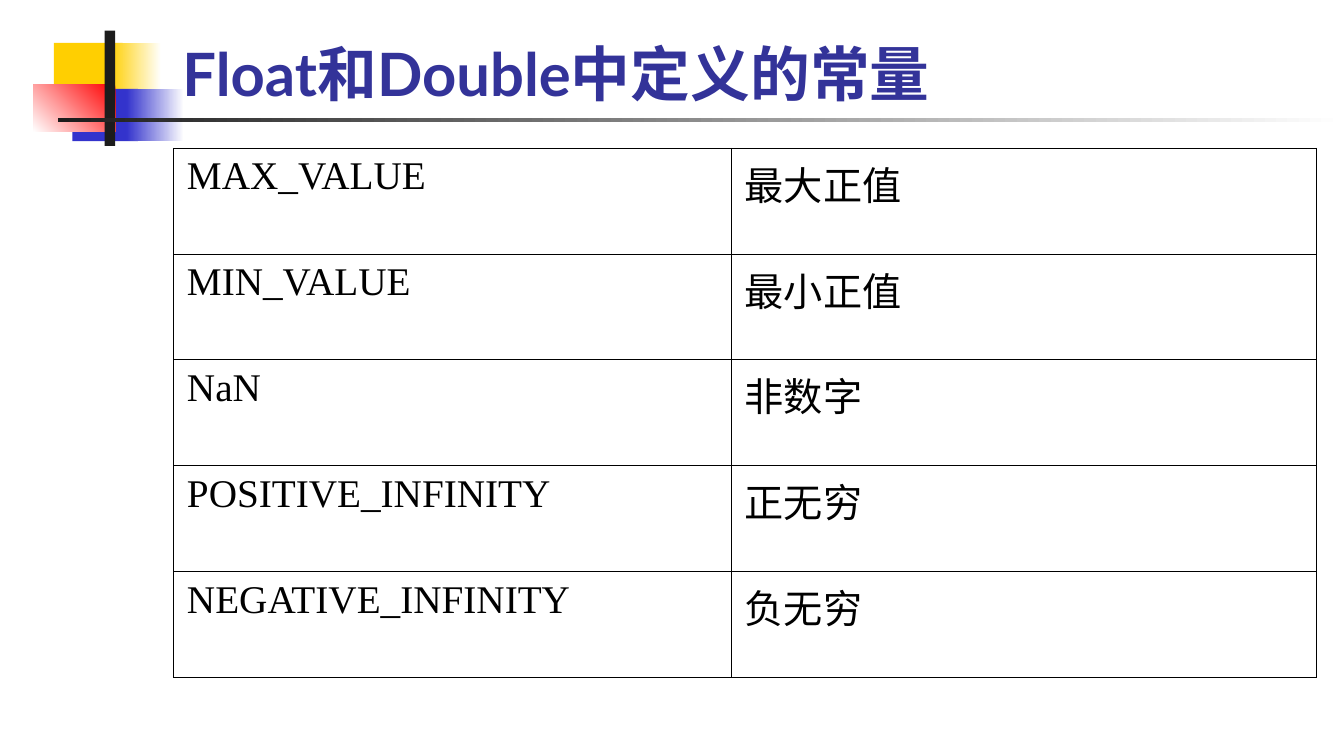
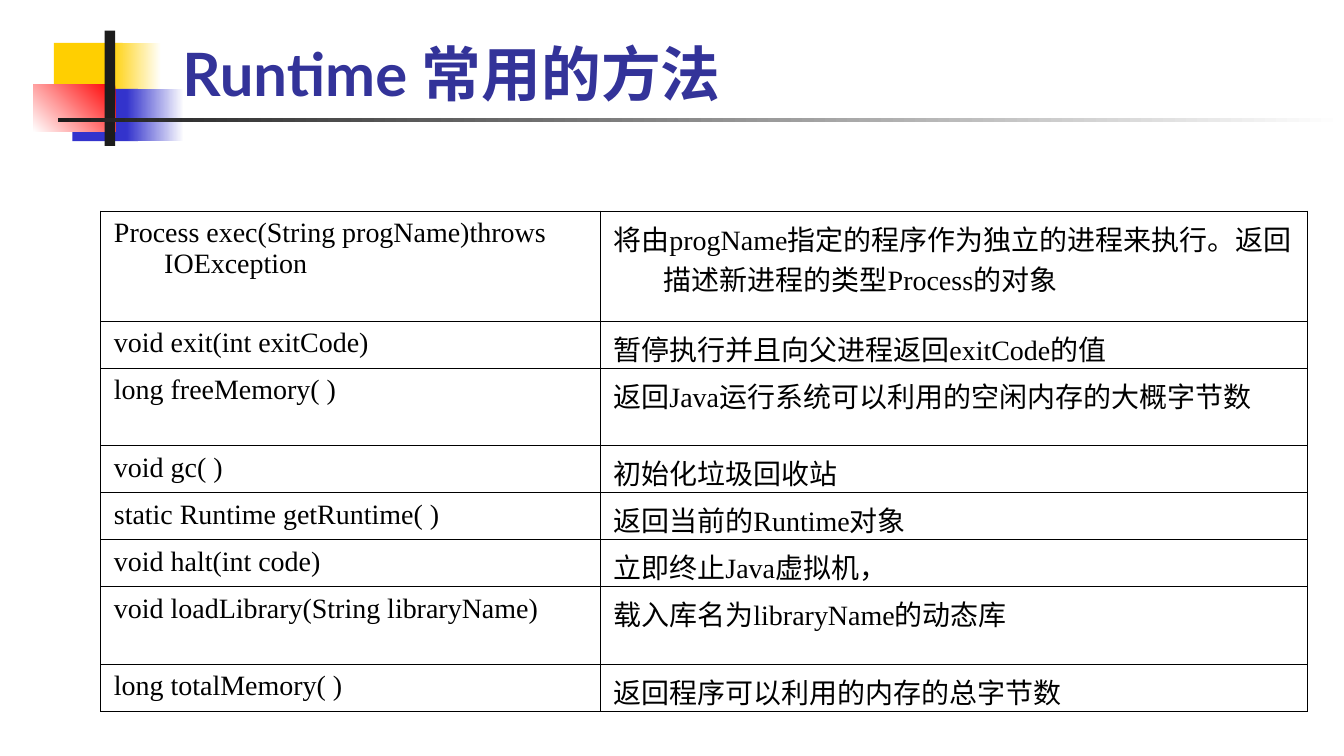
import pptx
import pptx.dml.color
import pptx.enum.shapes
import pptx.enum.text
import pptx.oxml
import pptx.oxml.ns
import pptx.util

Cm = pptx.util.Cm
Pt = pptx.util.Pt
RGBColor = pptx.dml.color.RGBColor

WHITE = RGBColor(0xFF, 0xFF, 0xFF)
BLACK = RGBColor(0x00, 0x00, 0x00)
YELLOW = RGBColor(0xFF, 0xCF, 0x01)
BLUE = RGBColor(0x33, 0x33, 0xCC)
RED = RGBColor(0xFF, 0x00, 0x00)
CHARCOAL = RGBColor(0x1C, 0x1C, 0x1C)
TITLE_BLUE = RGBColor(0x33, 0x33, 0x99)

TITLE_FONT = "Lato"
TABLE_FONT = "Times New Roman"
HANGING = Cm(0.95)

# left, top, width, height in cm; colours (two make a gradient); gradient angle
ORNAMENT = [
    (1.02, 0.81, 1.3, 0.99, [YELLOW], 0),
    (2.08, 0.81, 0.97, 0.99, [WHITE, YELLOW], 180),
    (1.37, 1.68, 1.24, 0.99, [BLUE], 0),
    (2.39, 1.68, 1.09, 0.99, [WHITE, BLUE], 180),
    (0.63, 1.6, 1.55, 0.89, [RED, WHITE], 225),
    (1.98, 0.58, 0.2, 2.18, [CHARCOAL], 0),
    (1.09, 2.24, 24.31, 0.07, [WHITE, CHARCOAL], 180),
]

SLIDES = [
    {
        "title": "Float和Double中定义的常量",
        "corner": (3.28, 2.8),
        "columns": [10.54, 11.05],
        "row_heights": [2] * 5,
        "size": 21,
        "rows": [
            ("MAX_VALUE", "最大正值"),
            ("MIN_VALUE", "最小正值"),
            ("NaN", "非数字"),
            ("POSITIVE_INFINITY", "正无穷"),
            ("NEGATIVE_INFINITY", "负无穷"),
        ],
    },
    {
        "title": "Runtime 常用的方法",
        "corner": (1.9, 3.99),
        "columns": [9.44, 13.37],
        "row_heights": [2.08, 0.84, 1.46, 0.84, 0.84, 0.84, 1.46, 0.84],
        "size": 15,
        "rows": [
            ("Process exec(String progName)throws IOException",
             "将由progName指定的程序作为独立的进程来执行。返回描述新进程的类型Process的对象"),
            ("void exit(int exitCode)", "暂停执行并且向父进程返回exitCode的值"),
            ("long freeMemory( )", "返回Java运行系统可以利用的空闲内存的大概字节数"),
            ("void gc( )", "初始化垃圾回收站"),
            ("static Runtime getRuntime( )", "返回当前的Runtime对象"),
            ("void halt(int code)", "立即终止Java虚拟机，"),
            ("void loadLibrary(String libraryName)", "载入库名为libraryName的动态库"),
            ("long totalMemory( )", "返回程序可以利用的内存的总字节数"),
        ],
    },
]


def write(frame, text, font_name, size, color, bold=False):
    frame.text = text
    paragraph = frame.paragraphs[0]
    font = paragraph.runs[0].font
    font.name = font_name
    font.size = Pt(size)
    font.bold = bold
    font.color.rgb = color
    return paragraph


def outline_cell(cell):
    """Draw a thin black line on all four sides of a table cell."""
    properties = cell._tc.get_or_add_tcPr()
    for side in ("lnL", "lnR", "lnT", "lnB"):
        properties.append(pptx.oxml.parse_xml(
            f'<a:{side} {pptx.oxml.ns.nsdecls("a")} w="{Pt(0.45)}">'
            f'<a:solidFill><a:srgbClr val="{BLACK}"/></a:solidFill></a:{side}>'))


deck = pptx.Presentation()
deck.slide_width = Cm(25.4)
deck.slide_height = Cm(14.29)
blank = deck.slide_layouts[6]

for content in SLIDES:
    slide = deck.slides.add_slide(blank)

    for left, top, width, height, colors, angle in ORNAMENT:
        block = slide.shapes.add_shape(
            pptx.enum.shapes.MSO_SHAPE.RECTANGLE,
            Cm(left), Cm(top), Cm(width), Cm(height))
        block.shadow.inherit = False
        block.line.fill.background()
        if len(colors) == 1:
            block.fill.solid()
            block.fill.fore_color.rgb = colors[0]
        else:
            block.fill.gradient()
            block.fill.gradient_angle = angle
            for stop, color in zip(block.fill.gradient_stops, colors):
                stop.color.rgb = color

    title = slide.shapes.add_textbox(Cm(3.2), Cm(0.43), Cm(21.64), Cm(1.75)).text_frame
    title.word_wrap = True
    title.vertical_anchor = pptx.enum.text.MSO_ANCHOR.BOTTOM
    write(title, content["title"], TITLE_FONT, 32, TITLE_BLUE, bold=True)

    left, top = content["corner"]
    columns, row_heights = content["columns"], content["row_heights"]
    table = slide.shapes.add_table(
        len(row_heights), len(columns), Cm(left), Cm(top),
        Cm(sum(columns)), Cm(sum(row_heights))).table
    table.first_row = False
    table.horz_banding = False
    for column, width in zip(table.columns, columns):
        column.width = Cm(width)
    for row, height, texts in zip(table.rows, row_heights, content["rows"]):
        row.height = Cm(height)
        for cell, text in zip(row.cells, texts):
            outline_cell(cell)
            cell.fill.background()
            entry = write(cell.text_frame, text, TABLE_FONT, content["size"], BLACK)
            indents = entry._p.get_or_add_pPr()
            indents.set("marL", str(HANGING))
            indents.set("indent", str(-HANGING))

deck.save("out.pptx")
